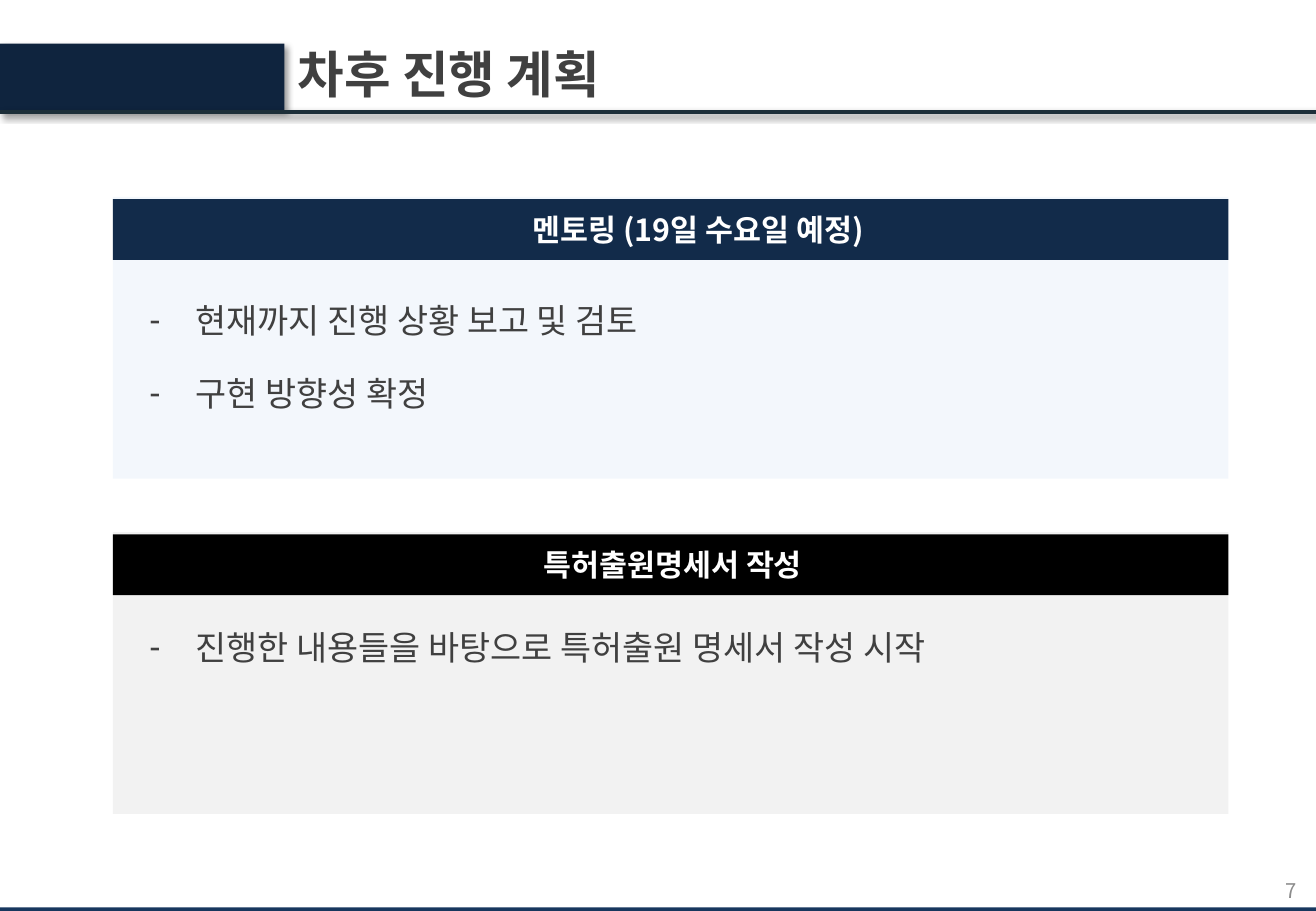
import pptx
import pptx.util
import pptx.dml.color
import pptx.enum.shapes
import pptx.enum.text
import pptx.oxml.ns
import lxml.etree

TITLE = "차후 진행 계획"
PAGE = "7"
PLANS = [
    {"head": "멘토링 (19일 수요일 예정)", "bar": "navy", "tint": "sky",
     "shift": 0.45, "body": (0.76, 1.11),
     "items": ["현재까지 진행 상황 보고 및 검토", "구현 방향성 확정"]},
    {"head": "특허출원명세서 작성", "bar": "black", "tint": "gray",
     "shift": 0.03, "body": (0.73, 0.44),
     "items": ["진행한 내용들을 바탕으로 특허출원 명세서 작성 시작"]},
]
COLORS = {"navy": "122B4A", "black": "000000", "sky": "8EB4E3", "gray": "808080",
          "tab": "0F243E", "rule": "1D2F39", "foot": "17375E",
          "text": "404040", "white": "FFFFFF", "page": "8C8C8C"}
FONT = "Noto Sans CJK KR"
WIDE, HIGH = 10.83, 7.5
LEFT, SPAN = 0.93, 9.18
TOP, STEP, TALL, BAR = 1.62, 2.76, 2.32, 0.5
INDENT = 0.38

Inches, Pt = pptx.util.Inches, pptx.util.Pt
qn = pptx.oxml.ns.qn
ALIGN = pptx.enum.text.PP_ALIGN


def color(name):
    return pptx.dml.color.RGBColor.from_string(COLORS[name])


def place(item, left, top, width, height):
    item.left, item.top = Inches(left), Inches(top)
    item.width, item.height = Inches(width), Inches(height)


def rect(slide, box, fill, alpha=None):
    item = slide.shapes.add_shape(pptx.enum.shapes.MSO_SHAPE.RECTANGLE,
                                  *map(Inches, box))
    item.fill.solid()
    item.fill.fore_color.rgb = color(fill)
    item.line.fill.background()
    item.shadow.inherit = False
    if alpha:
        tone = item.element.spPr.find(".//" + qn("a:srgbClr"))
        lxml.etree.SubElement(tone, qn("a:alpha"), val=str(alpha * 1000))
    return item


def shade(item):
    props = item.element.spPr
    glow = props.find(qn("a:effectLst"))
    if glow is None:
        glow = lxml.etree.SubElement(props, qn("a:effectLst"))
    cast = lxml.etree.SubElement(glow, qn("a:outerShdw"), blurRad=str(Pt(4)),
                                 dist=str(Pt(3)), dir=str(45 * 60000),
                                 algn="tl", rotWithShape="0")
    tone = lxml.etree.SubElement(cast, qn("a:srgbClr"), val=COLORS["black"])
    lxml.etree.SubElement(tone, qn("a:alpha"), val="40000")


def write(item, lines, size, tone, align, bold=False, bullet=False):
    frame = item.text_frame
    frame.text = "\n".join(lines)
    frame.word_wrap = True
    frame.auto_size = pptx.enum.text.MSO_AUTO_SIZE.NONE
    frame.vertical_anchor = pptx.enum.text.MSO_ANCHOR.MIDDLE
    for rank, para in enumerate(frame.paragraphs):
        if bullet:
            props = para._p.get_or_add_pPr()
            props.set("marL", str(Inches(INDENT)))
            props.set("indent", str(-Inches(INDENT)))
            lxml.etree.SubElement(props, qn("a:buChar"), char="-")
        para.alignment = align
        para.space_before = Pt(19 if rank else 0)
        for run in para.runs:
            font = run.font
            font.size, font.bold, font.name = Pt(size), bold, FONT
            font.color.rgb = color(tone)
            lxml.etree.SubElement(font._element, qn("a:ea"), typeface=FONT)


def main():
    deck = pptx.Presentation()
    deck.slide_width, deck.slide_height = Inches(WIDE), Inches(HIGH)
    slide = deck.slides.add_slide(deck.slide_layouts[3])
    title, *lists = slide.placeholders

    rect(slide, (0, HIGH - 0.03, WIDE, 0.03), "foot")
    for rank, (plan, body) in enumerate(zip(PLANS, lists)):
        top = TOP + rank * STEP
        rect(slide, (LEFT, top, SPAN, TALL), plan["tint"], alpha=10)
        head = rect(slide, (LEFT, top + 0.02, SPAN, BAR), plan["bar"])
        write(head, [plan["head"]], 18, "white", ALIGN.CENTER, bold=True)
        head.text_frame.margin_left = Inches(0.1 + plan["shift"])
        drop, tall = plan["body"]
        place(body, LEFT + 0.2, top + drop, SPAN - 0.33, tall)
        write(body, plan["items"], 20, "text", ALIGN.LEFT, bullet=True)
        slide.shapes.element.append(body.element)

    shade(rect(slide, (0, 0.36, 2.34, 0.55), "tab"))
    rule = slide.shapes.add_connector(pptx.enum.shapes.MSO_CONNECTOR.STRAIGHT,
                                      0, Inches(0.92), Inches(WIDE), Inches(0.92))
    rule.line.color.rgb = color("rule")
    rule.line.width = Pt(2.25)
    shade(rule)

    place(title, 2.35, 0.3, 8.43, 0.61)
    write(title, [TITLE], 30, "text", ALIGN.LEFT, bold=True)
    slide.shapes.element.append(title.element)

    page = slide.shapes.add_textbox(*map(Inches, (8.24, 7.13, 2.53, 0.4)))
    write(page, [PAGE], 12, "page", ALIGN.RIGHT)
    deck.save("out.pptx")


if __name__ == "__main__":
    main()
